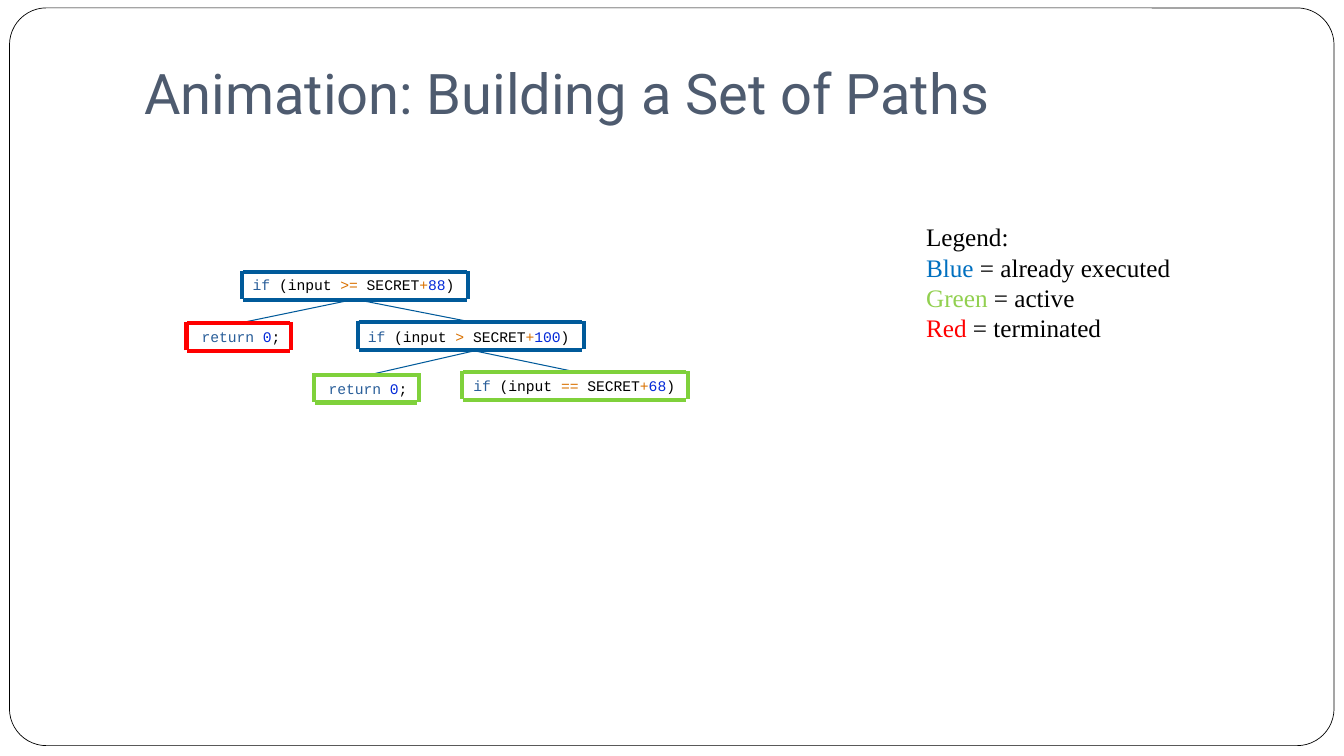
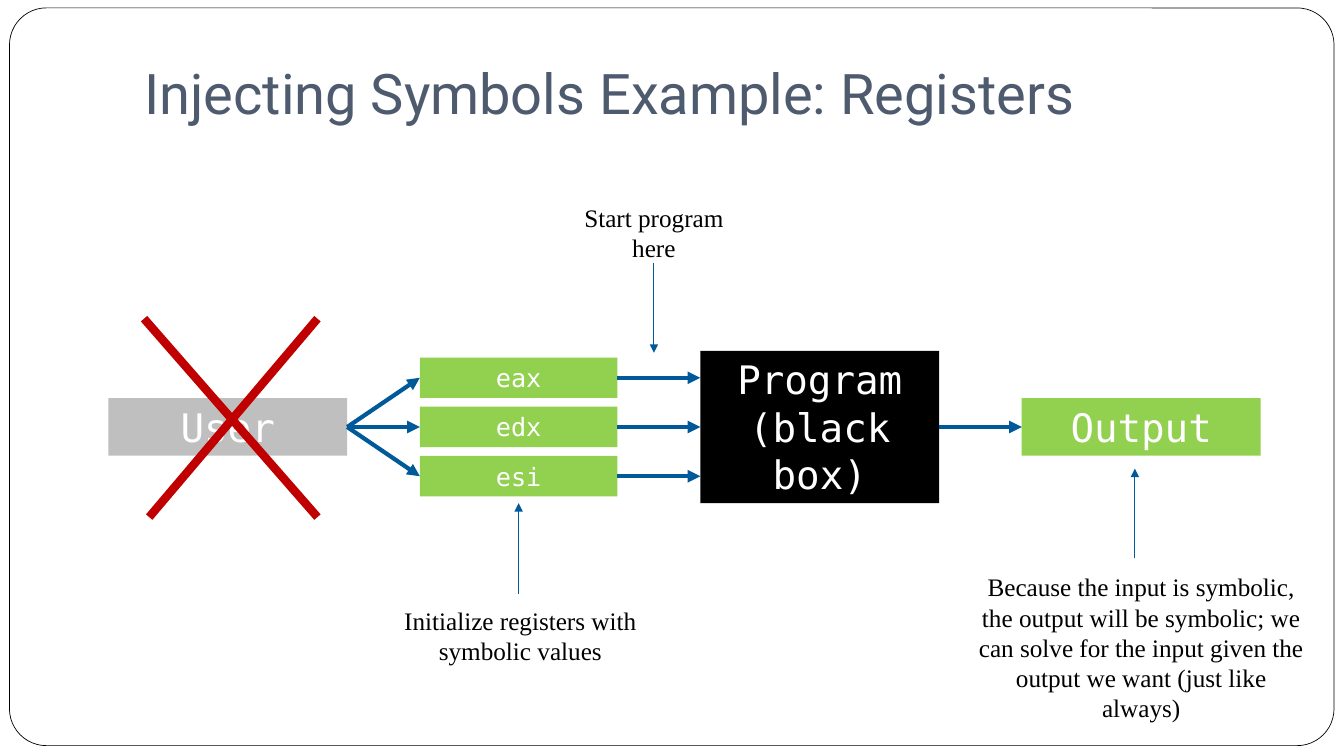
from lxml.etree import SubElement
from pptx import Presentation
from pptx.dml.color import RGBColor
from pptx.enum.shapes import MSO_CONNECTOR, MSO_SHAPE
from pptx.enum.text import MSO_ANCHOR as ANCHOR, PP_ALIGN as ALIGN
from pptx.oxml.ns import qn
from pptx.util import Cm, Pt

BLACK = RGBColor(0x00, 0x00, 0x00)
WHITE = RGBColor(0xFF, 0xFF, 0xFF)
SLATE = RGBColor(0x4E, 0x5B, 0x6F)
GREY = RGBColor(0xBF, 0xBF, 0xBF)
NAVY = RGBColor(0x00, 0x5A, 0x9A)
BLUE = RGBColor(0x00, 0x70, 0xC0)
GREEN = RGBColor(0x92, 0xD0, 0x50)
ACTIVE = RGBColor(0x7F, 0xD1, 0x3B)
RED = RGBColor(0xFF, 0x00, 0x00)
CROSS_RED = RGBColor(0xC0, 0x00, 0x00)
KEYWORD = RGBColor(0x29, 0x5E, 0x99)
OPERATOR = RGBColor(0xD9, 0x71, 0x00)
NUMBER = RGBColor(0x03, 0x29, 0xD8)

HEADING, SERIF, CODE, MONO = "Roboto", "Times New Roman", "Courier New", "DejaVu Sans Mono"
TOP, LEFT, BOTTOM, RIGHT = range(4)


def condition(operator, offset):
    return [("if", KEYWORD), (" (input ", BLACK), (operator, OPERATOR), (" SECRET", BLACK),
            ("+", OPERATOR), (offset, NUMBER), (")", BLACK)]


RETURN = [("return ", KEYWORD), ("0", NUMBER), (";", BLACK)]
NODE_HEIGHT = 0.71

NODES = [
    (condition(">=", "88"), (6.12, 6.83, 5.64), (6.1, 6.83, 5.7), NAVY, None),
    (RETURN, (4.83, 8.13, 2.52), (4.7, 8.12, 2.64), RED, 0),
    (condition(">", "100"), (9.02, 8.13, 5.87), (9.02, 8.09, 5.69), NAVY, 0),
    (RETURN, (8.03, 9.45, 2.52), (7.92, 9.41, 2.64), ACTIVE, 2),
    (condition("==", "68"), (11.68, 9.37, 5.64), (11.65, 9.34, 5.68), ACTIVE, 2),
]

LEGEND = [
    [("Legend:", BLACK)],
    [("Blue", BLUE), (" = already executed", BLACK)],
    [("Green", GREEN), (" = active", BLACK)],
    [("Red", RED), (" = terminated", BLACK)],
]

MIDDLE, REGISTER_PITCH = 10.76, 1.24
STAGE_WIDTH = 6.02
REGISTERS = ["eax", "edx", "esi"]
STAGES = [
    ("User input", 2.73, 1.45, GREY),
    ("Program (black box)", 17.65, 3.84, BLACK),
    ("Output", 25.75, 1.45, GREEN),
]
CROSS = [((8, 13.03), (3.63, 8.03)), ((3.76, 13.03), (8, 8.03))]
NOTES = [
    ("Start program here", (14.13, 4.98, 4.7, 1.8), 16.48, 6.63, 8.89),
    ("Initialize registers with symbolic values", (9.75, 15.12, 6.73, 1.8), 13.07, 14.96, 12.68),
    ("Because the input is symbolic, the output will be symbolic; we can solve for the input "
     "given the output we want (just like always)", (24.33, 14.28, 8.86, 4.11), 28.6, 14.07, 11.81),
]


def write(shape, paragraphs, font, size, align=ALIGN.LEFT, anchor=ANCHOR.TOP):
    tf = shape.text_frame
    tf.word_wrap = True
    tf.vertical_anchor = anchor
    for i, runs in enumerate(paragraphs):
        p = tf.add_paragraph() if i else tf.paragraphs[0]
        p.alignment = align
        p.font.name, p.font.size = font, Pt(size)
        for text, color in runs:
            r = p.add_run()
            r.text = text
            r.font.color.rgb = color


def add_text(s, box, *args, **options):
    sp = s.shapes.add_textbox(*map(Cm, box))
    write(sp, *args, **options)
    return sp


def add_box(s, box, fill, kind=MSO_SHAPE.RECTANGLE):
    sp = s.shapes.add_shape(kind, *map(Cm, box))
    sp.shadow.inherit = False
    sp.fill.solid()
    sp.fill.fore_color.rgb = fill
    sp.line.fill.background()
    return sp


def add_line(s, start, end, color=NAVY, width=0.75, arrow=False):
    line = s.shapes.add_connector(MSO_CONNECTOR.STRAIGHT, *map(Cm, start + end))
    line.line.color.rgb = color
    line.line.width = Pt(width)
    if arrow:
        SubElement(line.line._get_or_add_ln(), qn("a:tailEnd"), type="triangle")
    SubElement(line._element.spPr, qn("a:effectLst"))
    return line


def join(s, first, first_side, second, second_side, **style):
    line = add_line(s, (0, 0), (1, 1), **style)
    line.begin_connect(first, first_side)
    line.end_connect(second, second_side)


def add_border(s, left, top, width, color):
    right, bottom = left + width, top + NODE_HEIGHT
    for x in (left, right):
        add_line(s, (x, bottom), (x, top), color, 3)
    for y in (top + 0.03, bottom + 0.02):
        add_line(s, (left + 0.02, y), (right - 0.04, y), color, 3)


def add_slide(prs, title):
    s = prs.slides.add_slide(prs.slide_layouts[6])
    frame = add_box(s, (0.24, 0.2, 33.38, 18.59), WHITE, MSO_SHAPE.ROUNDED_RECTANGLE)
    frame.line.color.rgb = BLACK
    frame.line.width = Pt(0.5)
    frame.adjustments[0] = 0.05
    heading = add_text(s, (3.39, 0.33, 28.78, 3.1), [[(title, SLATE)]], HEADING, 40,
                       anchor=ANCHOR.BOTTOM)
    heading.text_frame.margin_bottom = Cm(0.25)
    return s


def build_paths(prs):
    s = add_slide(prs, "Animation: Building a Set of Paths")
    nodes = []
    for code, (left, top, width), border, color, parent in NODES:
        node = add_text(s, (left, top, width, NODE_HEIGHT), [code], CODE, 10.5)
        node.text_frame.margin_right = 0
        nodes.append(node)
        if parent is not None:
            join(s, nodes[parent], BOTTOM, node, TOP)
        add_border(s, *border, color)
    add_text(s, (23.09, 5.46, 7.2, 3.33), LEGEND, SERIF, 18)


def build_registers(prs):
    s = add_slide(prs, "Injecting Symbols Example: Registers")
    stages = []
    for text, left, height, fill in STAGES:
        stage = add_box(s, (left, MIDDLE - height / 2, STAGE_WIDTH, height), fill)
        write(stage, [[(text, WHITE)]], MONO, 28, ALIGN.CENTER)
        stages.append(stage)
    user, program, output = stages

    for i, name in enumerate(REGISTERS):
        center = MIDDLE + (i - 1) * REGISTER_PITCH
        register = add_box(s, (10.58, center - 0.51, 4.98, 1.02), GREEN)
        write(register, [[(name, WHITE)]], MONO, 18, ALIGN.CENTER)
        join(s, user, RIGHT, register, LEFT, width=3, arrow=True)
        add_line(s, (15.56, center), (17.65, center), width=3, arrow=True)
    join(s, program, RIGHT, output, LEFT, width=3, arrow=True)

    for start, end in CROSS:
        add_line(s, start, end, CROSS_RED, 6)
    for text, box, x, start, end in NOTES:
        add_line(s, (x, start), (x, end), arrow=True)
        add_text(s, box, [[(text, BLACK)]], SERIF, 18, ALIGN.CENTER)


def main():
    prs = Presentation()
    prs.slide_width, prs.slide_height = Cm(33.87), Cm(19.05)
    build_paths(prs)
    build_registers(prs)
    prs.save("out.pptx")


if __name__ == "__main__":
    main()
